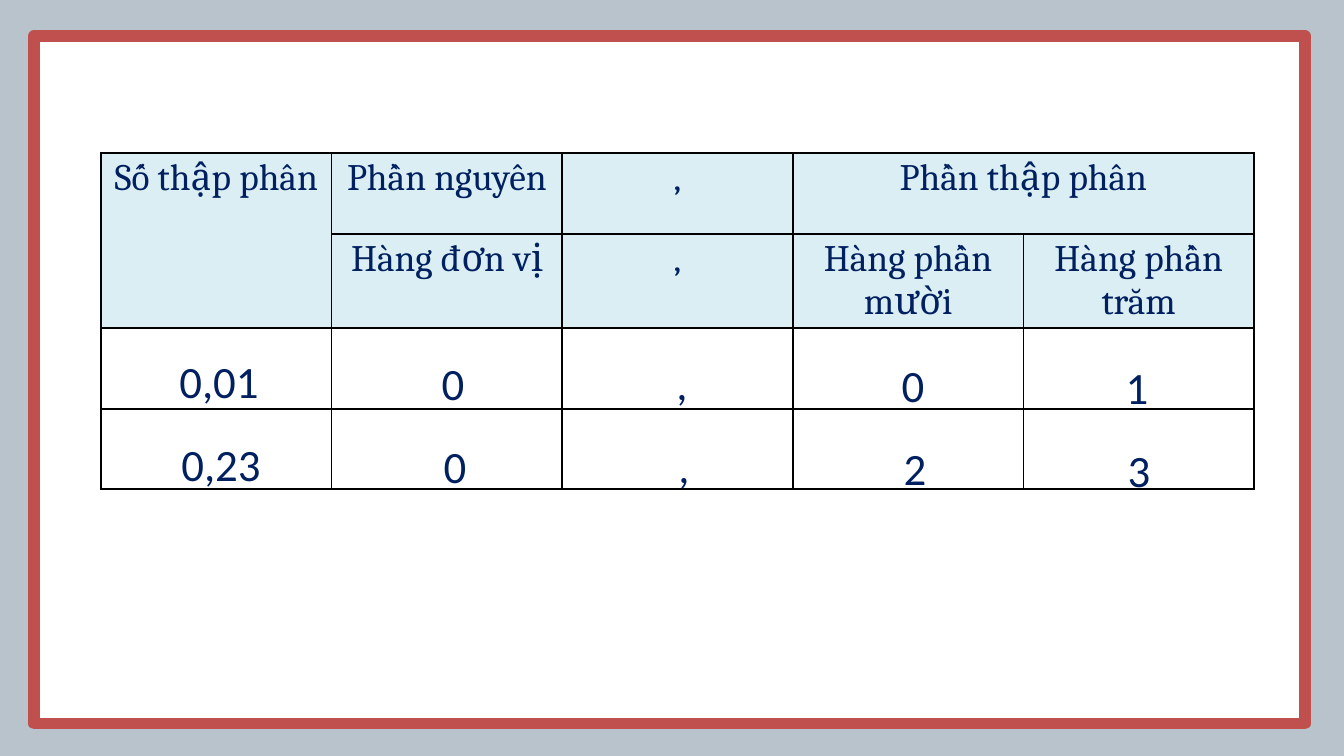
import pptx
import pptx.dml.color
import pptx.enum.shapes
import pptx.enum.text
import pptx.oxml
import pptx.oxml.ns
import pptx.util

PX = 914400 / 134.4
COLORS = {"backdrop": "B8C3CB", "frame": "C0504D", "paper": "FFFFFF",
          "header": "DBEEF4", "ink": "002060", "grid": "000000"}
HEADER_FONT = {"name": "Cambria", "size": pptx.util.Pt(20), "bold": False}
DIGIT_FONT = {"name": "Calibri", "size": pptx.util.Pt(24)}


def px(n):
    return pptx.util.Emu(round(n * PX))


def rgb(key):
    return pptx.dml.color.RGBColor.from_string(COLORS[key])


class Deck:
    def __init__(self, width, height):
        self.prs = pptx.Presentation()
        self.prs.slide_width, self.prs.slide_height = px(width), px(height)
        self.s = self.prs.slides.add_slide(self.prs.slide_layouts[6])

    def background(self, color):
        fill = self.s.background.fill
        fill.solid()
        fill.fore_color.rgb = rgb(color)

    def frame(self, x, y, w, h, fill, line, weight):
        sp = self.s.shapes.add_shape(
            pptx.enum.shapes.MSO_SHAPE.RECTANGLE, px(x), px(y), px(w), px(h))
        sp.shadow.inherit = False
        sp.fill.solid()
        sp.fill.fore_color.rgb = rgb(fill)
        sp.line.color.rgb = rgb(line)
        sp.line.width = pptx.util.Pt(weight)

    def centered_run(self, tf, text, style):
        p = tf.paragraphs[0]
        p.alignment = pptx.enum.text.PP_ALIGN.CENTER
        r = p.add_run()
        r.text = text
        for name, value in style.items():
            setattr(r.font, name, value)
        r.font.color.rgb = rgb("ink")

    def text(self, x, y, w, h, text, style):
        tf = self.s.shapes.add_textbox(px(x), px(y), px(w), px(h)).text_frame
        tf.word_wrap = True
        tf.auto_size = pptx.enum.text.MSO_AUTO_SIZE.SHAPE_TO_FIT_TEXT
        self.centered_run(tf, text, style)

    def borders(self, cell, weight):
        tc_pr = cell._tc.get_or_add_tcPr()
        for i, side in enumerate("LRTB"):
            tc_pr.insert(i, pptx.oxml.parse_xml(
                f'<a:ln{side} {pptx.oxml.ns.nsdecls("a")} w="{pptx.util.Pt(weight)}">'
                f'<a:solidFill><a:srgbClr val="{COLORS["grid"]}"/></a:solidFill>'
                f'</a:ln{side}>'))

    def table(self, x, y, w, row_heights, rows, merges, header_rows):
        cols = len(rows[0])
        table = self.s.shapes.add_table(
            len(rows), cols, px(x), px(y), px(w), px(sum(row_heights))).table
        table.first_row = table.horz_banding = False
        for column in table.columns:
            column.width = px(w / cols)
        for i, height in enumerate(row_heights):
            table.rows[i].height = px(height)
            for j, text in enumerate(rows[i]):
                cell = table.cell(i, j)
                margins = {"margin_left": 7, "margin_right": 7,
                           "margin_top": 4, "margin_bottom": 4}
                for name, value in margins.items():
                    setattr(cell, name, px(value))
                cell.fill.solid()
                cell.fill.fore_color.rgb = rgb("header" if i < header_rows else "paper")
                self.borders(cell, 1)
                if text:
                    self.centered_run(cell.text_frame, text, HEADER_FONT)
        for first, last in merges:
            table.cell(*first).merge(table.cell(*last))


def main():
    deck = Deck(1344, 756)

    # Backdrop and framed page
    deck.background("backdrop")
    deck.frame(34, 36, 1271, 688, "paper", "frame", 6)

    # Place-value table
    rows = [["Số thập phân", "Phần nguyên", ",", "Phần thập phân", ""],
            ["", "Hàng đơn vị", ",", "Hàng phần mười", "Hàng phần trăm"],
            [""] * 5,
            [""] * 5]
    deck.table(101, 153, 1153, [81, 92, 81, 80], rows,
               merges=[((0, 0), (1, 0)), ((0, 3), (0, 4))], header_rows=2)

    # Answers laid over the two empty rows
    spots = [(118, 347), (352, 349), (581, 349), (812, 351), (1036, 353)]
    answers = [["0,01", "0", ",", "0", "1"],
               ["0,23", "0", ",", "2", "3"]]
    for i, answer in enumerate(answers):
        for (x, y), digit in zip(spots, answer):
            deck.text(x + 2 * i, y + 83 * i, 202, 67, digit, DIGIT_FONT)

    deck.prs.save("out.pptx")


if __name__ == "__main__":
    main()
